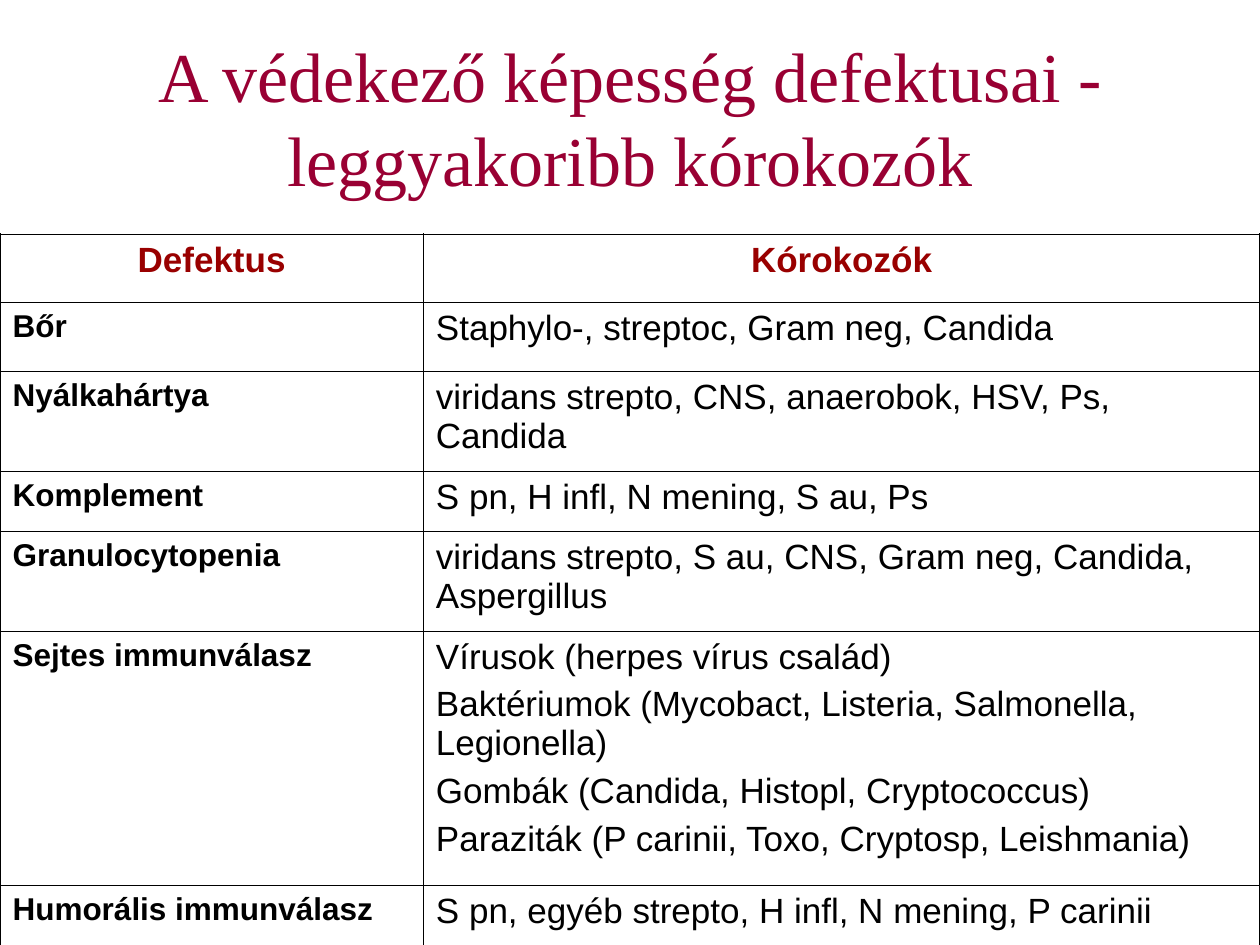
from lxml.etree import SubElement
from pptx import Presentation
from pptx.dml.color import RGBColor
from pptx.enum.text import MSO_ANCHOR, PP_ALIGN
from pptx.oxml.ns import qn
from pptx.util import Inches, Pt

COLORS = {"title": "990033", "header": "990000", "text": "000000", "border": "000000"}
WIDTH, HEIGHT = 10, 7.5
COLUMN_WIDTHS = [3.36, 6.64]
ROW_HEIGHTS = [0.54, 0.55, 0.79, 0.48, 0.79, 2.02, 0.48]
OUTER_LINE, INNER_LINE = 1.08, 0.45
ROWS = [
    ("Defektus", "Kórokozók"),
    ("Bőr", "Staphylo-, streptoc, Gram neg, Candida"),
    ("Nyálkahártya", "viridans strepto, CNS, anaerobok, HSV, Ps, Candida"),
    ("Komplement", "S pn, H infl, N mening, S au, Ps"),
    ("Granulocytopenia", "viridans strepto, S au, CNS, Gram neg, Candida, Aspergillus"),
    ("Sejtes immunválasz",
     "Vírusok (herpes vírus család)\n"
     "Baktériumok (Mycobact, Listeria, Salmonella, Legionella)\n"
     "Gombák (Candida, Histopl, Cryptococcus)\n"
     "Paraziták (P carinii, Toxo, Cryptosp, Leishmania)"),
    ("Humorális immunválasz", "S pn, egyéb strepto, H infl, N mening, P carinii"),
]


def write_text(frame, text, size, color, font="Arial", bold=False,
               align=PP_ALIGN.LEFT, space_before=0):
    frame.text = text
    for paragraph in frame.paragraphs:
        paragraph.alignment = align
        paragraph.space_before = Pt(space_before)
        for span in paragraph.runs:
            span.font.name = font
            span.font.size = Pt(size)
            span.font.bold = bold
            span.font.color.rgb = RGBColor.from_string(COLORS[color])


def add_title(page, text):
    box = page.shapes.add_textbox(Inches(0.05 * WIDTH), Inches(0.04 * HEIGHT),
                                  Inches(0.9 * WIDTH), Inches(1.25))
    frame = box.text_frame
    frame.word_wrap = True
    frame.vertical_anchor = MSO_ANCHOR.MIDDLE
    write_text(frame, text, 40, "title", font="Times New Roman", align=PP_ALIGN.CENTER)


def set_borders(cell, row, column):
    """Draw a heavier line on the sides that lie on the table's edge."""
    on_edge = {
        "L": column == 0,
        "R": column == len(COLUMN_WIDTHS) - 1,
        "T": row == 0,
        "B": row == len(ROWS) - 1,
    }
    properties = cell._tc.get_or_add_tcPr()
    for side, outer in on_edge.items():
        width = Pt(OUTER_LINE if outer else INNER_LINE)
        line = SubElement(properties, qn(f"a:ln{side}"), w=str(int(width)))
        fill = SubElement(line, qn("a:solidFill"))
        SubElement(fill, qn("a:srgbClr"), val=COLORS["border"])


def fill_cell(cell, row, column, text):
    header = row == 0
    first_column = column == 0
    size = 18 if first_column and not header else 20
    write_text(cell.text_frame, text, size, "header" if header else "text",
               bold=header or first_column,
               align=PP_ALIGN.CENTER if header else PP_ALIGN.LEFT,
               space_before=size / 4)
    cell.vertical_anchor = MSO_ANCHOR.TOP
    set_borders(cell, row, column)
    cell.fill.background()


def add_pathogen_table(page):
    height = sum(ROW_HEIGHTS)
    table = page.shapes.add_table(len(ROWS), len(COLUMN_WIDTHS), 0, Inches(1.86),
                                  Inches(WIDTH), Inches(height)).table
    table.first_row = table.horz_banding = False
    for column, width in zip(table.columns, COLUMN_WIDTHS):
        column.width = Inches(width)
    for row, row_height in zip(table.rows, ROW_HEIGHTS):
        row.height = Inches(row_height)
    for row, texts in enumerate(ROWS):
        for column, text in enumerate(texts):
            fill_cell(table.cell(row, column), row, column, text)


def main():
    deck = Presentation()
    deck.slide_width, deck.slide_height = Inches(WIDTH), Inches(HEIGHT)
    page = deck.slides.add_slide(deck.slide_layouts[6])
    add_title(page, "A védekező képesség defektusai - leggyakoribb kórokozók")
    add_pathogen_table(page)
    deck.save("out.pptx")


if __name__ == "__main__":
    main()
